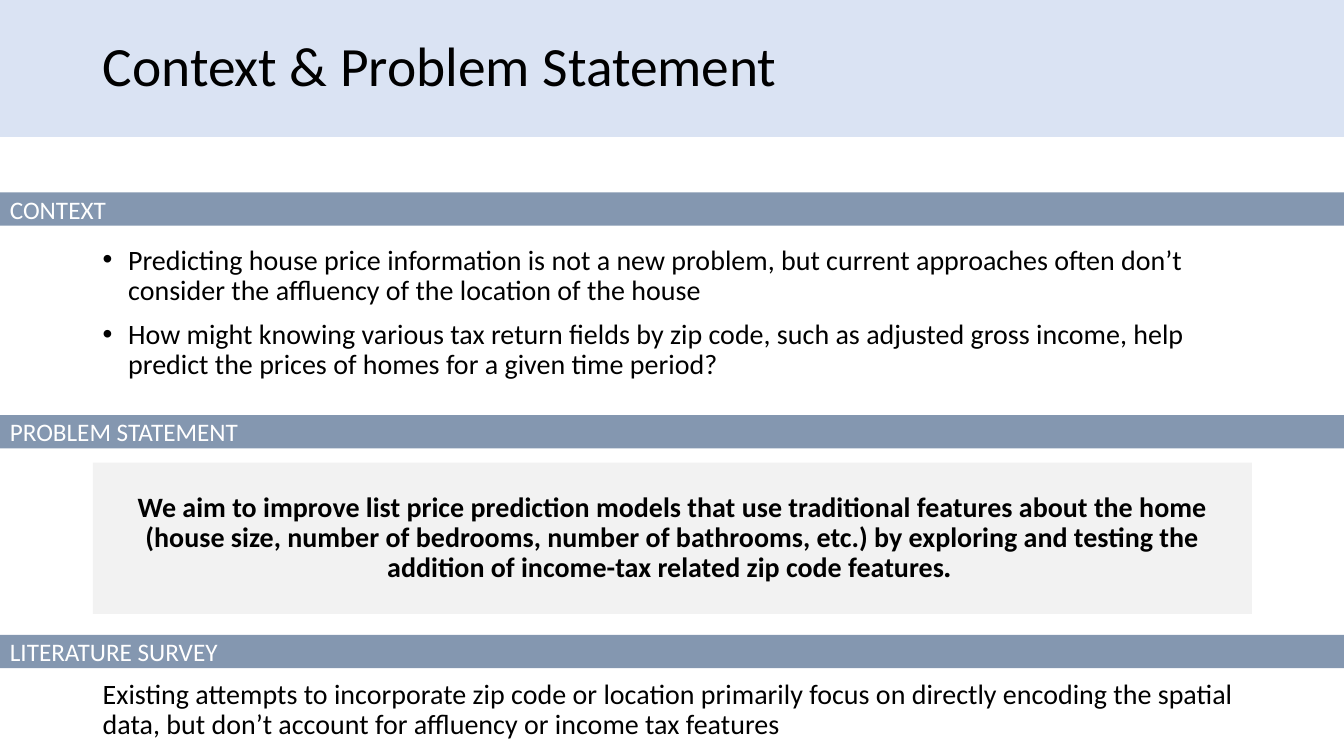
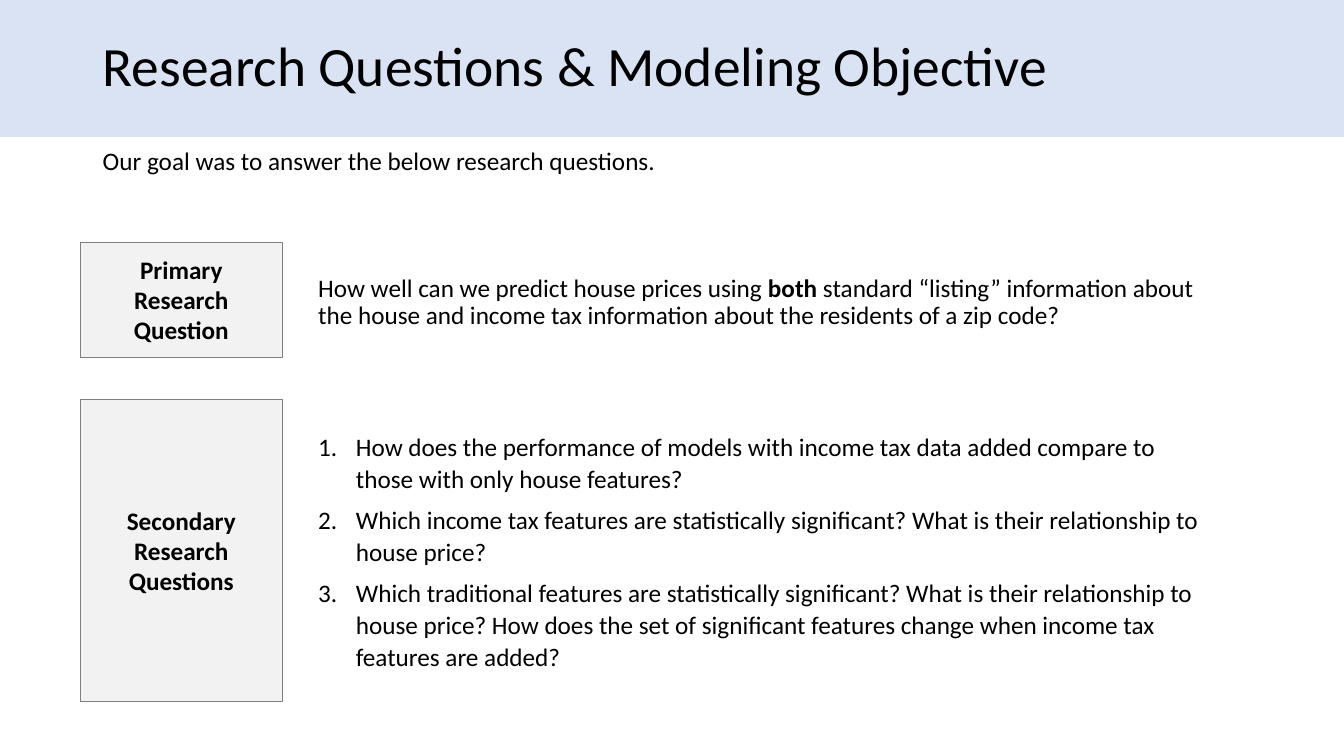
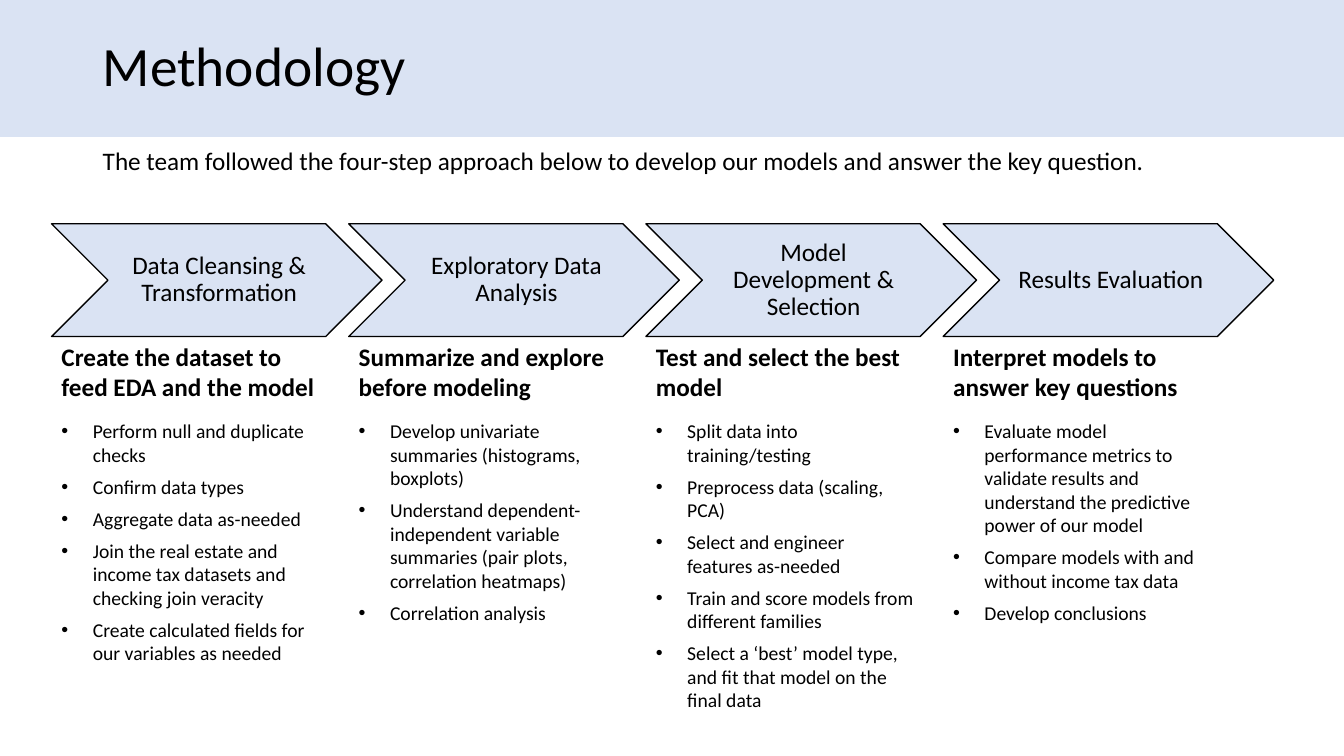
"""Build three slides on predicting house prices with income tax data."""
from dataclasses import dataclass
from typing import Optional, Sequence

from lxml.etree import SubElement
from pptx import Presentation
from pptx.dml.color import RGBColor
from pptx.enum.shapes import MSO_SHAPE as Shape
from pptx.enum.text import MSO_ANCHOR as Anchor, MSO_AUTO_SIZE as AutoSize, PP_ALIGN as Align
from pptx.oxml.ns import qn
from pptx.shapes.autoshape import Shape as AutoShape
from pptx.slide import Slide
from pptx.text.text import TextFrame
from pptx.util import Cm, Pt

BLACK = RGBColor(0x00, 0x00, 0x00)
WHITE = RGBColor(0xFF, 0xFF, 0xFF)
PALE_BLUE = RGBColor(0xDA, 0xE3, 0xF3)
SLATE = RGBColor(0x84, 0x97, 0xB0)
PALE_GREY = RGBColor(0xF2, 0xF2, 0xF2)
GREY = RGBColor(0x80, 0x80, 0x80)

FONT = "Calibri"
SLIDE_W, SLIDE_H = 33.87, 19.05
MARGIN, BODY_W = 2.34, 29.21


@dataclass(frozen=True)
class Box:
    left: float
    top: float
    width: float
    height: float

    def emu(self) -> tuple[Cm, Cm, Cm, Cm]:
        return Cm(self.left), Cm(self.top), Cm(self.width), Cm(self.height)


@dataclass(frozen=True)
class Run:
    text: str
    bold: bool = False
    font: str = FONT


@dataclass(frozen=True)
class Style:
    size: float = 18
    color: RGBColor = BLACK
    align: Align = Align.LEFT
    spacing: Optional[float] = None
    before: float = 0
    after: float = 0
    indent: float = 0
    numbered: bool = False


@dataclass(frozen=True)
class Section:
    heading: str
    top: float


@dataclass(frozen=True)
class Step:
    name: str
    goal: str
    tasks: tuple[str, ...]
    height: float


TITLE = Style(39.6, spacing=0.9)
BODY = Style(20, spacing=0.9, before=10)
BULLETS = Style(20, spacing=0.9, before=10, indent=0.64)
STATEMENT = Style(20, align=Align.CENTER, spacing=0.9, before=10)
HEADING = Style(color=WHITE)
INTRO = Style(spacing=0.9, before=10)
LABEL = Style(align=Align.CENTER)
QUESTIONS = Style(spacing=1.07, after=6, indent=0.95, numbered=True)
STEP_NAME = Style(align=Align.CENTER, spacing=0.9)
GOAL = Style()
TASKS = Style(14, after=6, indent=0.79)

SECTIONS = (
    Section("CONTEXT", 4.85),
    Section("PROBLEM STATEMENT", 10.46),
    Section("LITERATURE SURVEY", 16),
)

STEPS = (
    Step("Data Cleansing & Transformation", "Create the dataset to feed EDA and the model", (
        "Perform null and duplicate checks",
        "Confirm data types",
        "Aggregate data as-needed",
        "Join the real estate and income tax datasets and checking join veracity",
        "Create calculated fields for our variables as needed",
    ), 6.5),
    Step("Exploratory Data Analysis", "Summarize and explore before modeling", (
        "Develop univariate summaries (histograms, boxplots)",
        "Understand dependent-independent variable summaries (pair plots, correlation heatmaps)",
        "Correlation analysis",
    ), 5.46),
    Step("Model Development & Selection", "Test and select the best model", (
        "Split data into training/testing",
        "Preprocess data (scaling, PCA)",
        "Select and engineer features as-needed",
        "Train and score models from different families",
        "Select a ‘best’ model type, and fit that model on the final data",
    ), 7.7),
    Step("Results Evaluation", "Interpret models to answer key questions", (
        "Evaluate model performance metrics to validate results and understand the "
        "predictive power of our model",
        "Compare models with and without income tax data",
        "Develop conclusions",
    ), 5.46),
)


def write(tf: TextFrame, paragraphs: Sequence[Sequence[Run]], style: Style) -> None:
    tf.word_wrap = True
    for i, runs in enumerate(paragraphs):
        p = tf.add_paragraph() if i else tf.paragraphs[0]
        p.alignment = style.align
        p.line_spacing = style.spacing
        p.space_before, p.space_after = Pt(style.before), Pt(style.after)
        if style.indent:
            add_bullet(p._p.get_or_add_pPr(), style)
        for run in runs:
            r = p.add_run()
            r.text = run.text
            r.font.name, r.font.size, r.font.bold = run.font, Pt(style.size), run.bold
            r.font.color.rgb = style.color


def add_bullet(p_pr, style: Style) -> None:
    p_pr.set("marL", str(Cm(style.indent)))
    p_pr.set("indent", str(-Cm(style.indent)))
    if style.numbered:
        SubElement(p_pr, qn("a:buAutoNum"), type="arabicPeriod")
    else:
        SubElement(p_pr, qn("a:buFont"), typeface="Arial")
        SubElement(p_pr, qn("a:buChar"), char="•")


def plain(*texts: str, bold: bool = False) -> list[list[Run]]:
    return [[Run(text, bold)] for text in texts]


def add_text(s: Slide, box: Box, paragraphs: Sequence[Sequence[Run]], style: Style,
             anchor: Anchor = Anchor.TOP, grow: bool = False) -> None:
    tf = s.shapes.add_textbox(*box.emu()).text_frame
    tf.vertical_anchor = anchor
    tf.auto_size = AutoSize.SHAPE_TO_FIT_TEXT if grow else AutoSize.NONE
    write(tf, paragraphs, style)


def add_block(s: Slide, box: Box, fill: RGBColor, line: Optional[RGBColor] = None,
              weight: float = 0.5, kind: Shape = Shape.RECTANGLE) -> AutoShape:
    sp = s.shapes.add_shape(kind, *box.emu())
    sp.shadow.inherit = False
    sp.fill.solid()
    sp.fill.fore_color.rgb = fill
    if line is None:
        sp.line.fill.background()
    else:
        sp.line.color.rgb = line
        sp.line.width = Pt(weight)
    sp.text_frame.vertical_anchor = Anchor.MIDDLE
    return sp


def add_titled_slide(prs: Presentation, title: str) -> Slide:
    s = prs.slides.add_slide(prs.slide_layouts[6])
    add_block(s, Box(0, 0, SLIDE_W, 3.45), PALE_BLUE)
    add_text(s, Box(MARGIN, 0.81, BODY_W, 1.83), plain(title), TITLE, Anchor.MIDDLE)
    return s


def add_intro(s: Slide, text: str) -> None:
    add_text(s, Box(MARGIN, 3.63, BODY_W, 1.83), plain(text), INTRO)


def add_label(s: Slide, top: float, height: float, text: str) -> None:
    sp = add_block(s, Box(2.03, top, 5.08, height), PALE_GREY, GREY)
    write(sp.text_frame, plain(text, bold=True), LABEL)


def add_step(s: Slide, left: float, step: Step) -> None:
    sp = add_block(s, Box(left, 5.64, 8.33, 2.84), PALE_BLUE, BLACK, 1, Shape.CHEVRON)
    tf = sp.text_frame
    tf.margin_left, tf.margin_right = Cm(0.2), Cm(0.08)
    tf.margin_top = tf.margin_bottom = Cm(0.08)
    write(tf, plain(step.name), STEP_NAME)
    add_text(s, Box(left, 8.48, 7.01, 1.8), plain(step.goal, bold=True), GOAL, grow=True)
    add_text(s, Box(left, 10.44, 7.01, step.height), plain(*step.tasks), TASKS, grow=True)


def build_context(prs: Presentation) -> None:
    s = add_titled_slide(prs, "Context & Problem Statement")
    add_text(s, Box(MARGIN, 6.07, BODY_W, 4.11), plain(
        "Predicting house price information is not a new problem, but current approaches "
        "often don’t consider the affluency of the location of the house",
        "How might knowing various tax return fields by zip code, such as adjusted gross "
        "income, help predict the prices of homes for a given time period?",
    ), BULLETS)
    statement = add_block(s, Box(MARGIN, 11.66, BODY_W, 3.81), PALE_GREY)
    write(statement.text_frame, [[
        Run("We aim to improve list price prediction models that use traditional features "
            "about the home (house size, number of bedrooms, number of bathrooms, etc.) by "
            "exploring and testing the addition of income-tax related zip code features", True),
        Run(". ", True, "Karla"),
    ]], STATEMENT)
    for section in SECTIONS:
        band = add_block(s, Box(0, section.top, SLIDE_W, 0.84), SLATE)
        write(band.text_frame, plain(section.heading), HEADING)
    add_text(s, Box(MARGIN, 17.02, BODY_W, 1.83), plain(
        "Existing attempts to incorporate zip code or location primarily focus on directly "
        "encoding the spatial data, but don’t account for affluency or income tax features",
    ), BODY)


def build_questions(prs: Presentation) -> None:
    s = add_titled_slide(prs, "Research Questions & Modeling Objective")
    add_intro(s, "Our goal was to answer the below research questions.")
    add_label(s, 6.1, 2.9, "Primary Research Question")
    add_text(s, Box(7.77, 6.27, 22.86, 2.72), [[
        Run("How well can we predict house prices using "),
        Run("both", True),
        Run(" standard “listing” information about the house and income tax information "
            "about the residents of a zip code?"),
    ]], INTRO, Anchor.MIDDLE)
    add_label(s, 10.06, 7.62, "Secondary Research Questions")
    add_text(s, Box(7.77, 10.06, 22.86, 7.62), plain(
        "How does the performance of models with income tax data added compare to those "
        "with only house features?",
        "Which income tax features are statistically significant? What is their "
        "relationship to house price?",
        "Which traditional features are statistically significant? What is their "
        "relationship to house price? How does the set of significant features change "
        "when income tax features are added?",
    ), QUESTIONS, Anchor.MIDDLE)


def build_methodology(prs: Presentation) -> None:
    s = add_titled_slide(prs, "Methodology")
    add_intro(s, "The team followed the four-step approach below to develop our models "
                 "and answer the key question.")
    for i, step in enumerate(STEPS):
        add_step(s, 1.3 + 7.49 * i, step)


def main() -> None:
    prs = Presentation()
    prs.slide_width, prs.slide_height = Cm(SLIDE_W), Cm(SLIDE_H)
    build_context(prs)
    build_questions(prs)
    build_methodology(prs)
    prs.save("out.pptx")


main()
